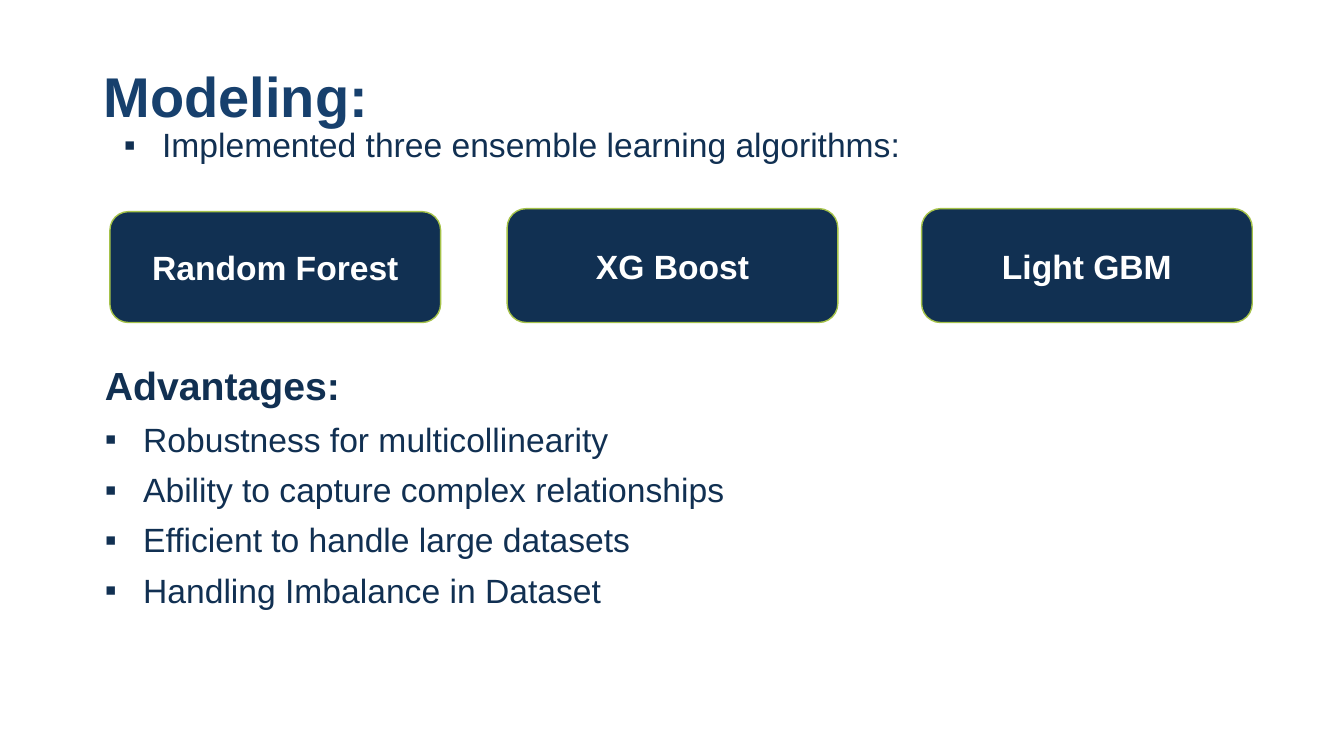
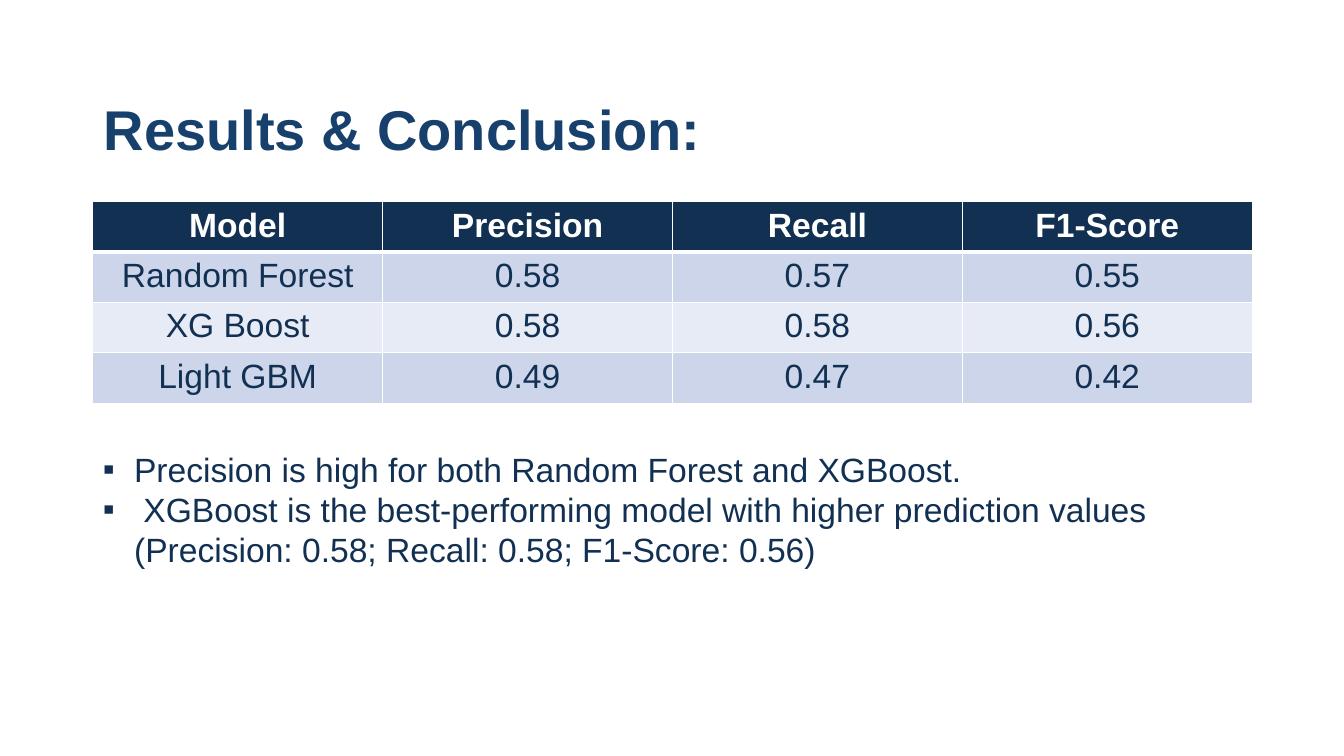
from dataclasses import dataclass

import lxml.etree
import pptx
import pptx.dml.color
import pptx.enum.shapes
import pptx.enum.text
import pptx.oxml.ns
import pptx.presentation
import pptx.shapes.base
import pptx.slide
import pptx.table
import pptx.text.text
import pptx.util

RGBColor = pptx.dml.color.RGBColor
NAVY = RGBColor(0x11, 0x30, 0x52)
TITLE_BLUE = RGBColor(0x17, 0x40, 0x6D)
GREEN = RGBColor(0xA5, 0xC2, 0x49)
WHITE = RGBColor(0xFF, 0xFF, 0xFF)
BAND_DARK = RGBColor(0xCC, 0xD5, 0xEA)
BAND_LIGHT = RGBColor(0xE7, 0xEB, 0xF5)

FONT = "Arial"
TEXT_SIZE = 24
PX_PER_INCH = 100
TITLE_AND_CONTENT = 1


@dataclass(frozen=True)
class Box:
    left: int
    top: int
    width: int
    height: int


@dataclass(frozen=True)
class Card:
    text: str
    box: Box


@dataclass(frozen=True)
class Item:
    text: str
    size: int = TEXT_SIZE
    bold: bool = False
    bullet: bool = True


@dataclass(frozen=True)
class ListStyle:
    indent: int
    line_spacing: float
    space_before: int


AIRY = ListStyle(indent=38, line_spacing=0.9, space_before=10)
TIGHT = ListStyle(indent=31, line_spacing=1.0, space_before=0)

CARDS = [
    Card("Random Forest", Box(109, 210, 328, 110)),
    Card("XG Boost", Box(503, 207, 328, 113)),
    Card("Light GBM", Box(914, 207, 328, 113)),
]
INTRO = [Item("Implemented three ensemble learning algorithms:")]
ADVANTAGES = [
    Item("Advantages:", size=28, bold=True, bullet=False),
    Item("Robustness for multicollinearity"),
    Item("Ability to capture complex relationships"),
    Item("Efficient to handle large datasets"),
    Item("Handling Imbalance in Dataset"),
]
SCORES = [
    ["Model", "Precision", "Recall", "F1-Score"],
    ["Random Forest", "0.58", "0.57", "0.55"],
    ["XG Boost", "0.58", "0.58", "0.56"],
    ["Light GBM", "0.49", "0.47", "0.42"],
]
CONCLUSIONS = [
    Item("Precision is high for both Random Forest and XGBoost."),
    Item(" XGBoost is the best-performing model with higher prediction values "
         "(Precision: 0.58; Recall: 0.58; F1-Score: 0.56)"),
]


def px(length: int) -> pptx.util.Emu:
    return pptx.util.Emu(length * 914400 // PX_PER_INCH)


def emu(box: Box) -> tuple[pptx.util.Emu, ...]:
    return px(box.left), px(box.top), px(box.width), px(box.height)


def place(sp: pptx.shapes.base.BaseShape, box: Box) -> None:
    sp.left, sp.top, sp.width, sp.height = emu(box)


def format_runs(p: pptx.text.text._Paragraph, color: RGBColor,
                size: int = TEXT_SIZE, bold: bool = False) -> None:
    for r in p.runs:
        r.font.name = FONT
        r.font.size = pptx.util.Pt(size)
        r.font.bold = bold
        r.font.color.rgb = color


def set_bullet(p: pptx.text.text._Paragraph, indent: int) -> None:
    """Give the paragraph a hanging square bullet, or none if indent is 0."""
    pPr = p._p.get_or_add_pPr()
    pPr.set("marL", str(px(indent)))
    pPr.set("indent", str(-px(indent)))
    qn = pptx.oxml.ns.qn
    if indent:
        lxml.etree.SubElement(pPr, qn("a:buFont"), typeface=FONT)
        lxml.etree.SubElement(pPr, qn("a:buChar"), char="▪")
    else:
        lxml.etree.SubElement(pPr, qn("a:buNone"))


def fill_list(tf: pptx.text.text.TextFrame, items: list[Item],
              style: ListStyle) -> None:
    tf.word_wrap = True
    tf.auto_size = pptx.enum.text.MSO_AUTO_SIZE.NONE
    tf.vertical_anchor = pptx.enum.text.MSO_ANCHOR.TOP
    tf.text = "\n".join(item.text for item in items)
    for p, item in zip(tf.paragraphs, items):
        p.alignment = pptx.enum.text.PP_ALIGN.LEFT
        p.line_spacing = style.line_spacing
        p.space_before = pptx.util.Pt(style.space_before)
        set_bullet(p, style.indent if item.bullet else 0)
        format_runs(p, NAVY, item.size, item.bold)


def add_titled_slide(prs: pptx.presentation.Presentation, title: str,
                     title_top: int) -> pptx.slide.Slide:
    s = prs.slides.add_slide(prs.slide_layouts[TITLE_AND_CONTENT])
    place(s.shapes.title, Box(93, title_top, 1146, 107))
    tf = s.shapes.title.text_frame
    tf.text = title
    tf.auto_size = pptx.enum.text.MSO_AUTO_SIZE.NONE
    tf.vertical_anchor = pptx.enum.text.MSO_ANCHOR.MIDDLE
    p = tf.paragraphs[0]
    p.alignment = pptx.enum.text.PP_ALIGN.LEFT
    p.line_spacing = 0.9
    format_runs(p, TITLE_BLUE, 40, True)
    return s


def fill_body(s: pptx.slide.Slide, box: Box, items: list[Item],
              style: ListStyle) -> None:
    body = s.placeholders[1]
    place(body, box)
    fill_list(body.text_frame, items, style)


def add_card(s: pptx.slide.Slide, card: Card) -> None:
    sp = s.shapes.add_shape(
        pptx.enum.shapes.MSO_SHAPE.ROUNDED_RECTANGLE, *emu(card.box))
    sp.shadow.inherit = False
    sp.fill.solid()
    sp.fill.fore_color.rgb = NAVY
    sp.line.color.rgb = GREEN
    sp.line.width = pptx.util.Pt(1)
    tf = sp.text_frame
    tf.text = card.text
    tf.vertical_anchor = pptx.enum.text.MSO_ANCHOR.MIDDLE
    p = tf.paragraphs[0]
    p.alignment = pptx.enum.text.PP_ALIGN.CENTER
    format_runs(p, WHITE, bold=True)


def set_borders(cell: pptx.table._Cell, top: int, bottom: int) -> None:
    """Draw white borders, 1 pt at the sides and as given above and below."""
    qn = pptx.oxml.ns.qn
    tcPr = cell._tc.get_or_add_tcPr()
    for side, width in {"L": 1, "R": 1, "T": top, "B": bottom}.items():
        ln = lxml.etree.SubElement(
            tcPr, qn(f"a:ln{side}"), w=str(pptx.util.Pt(width)))
        fill = lxml.etree.SubElement(ln, qn("a:solidFill"))
        lxml.etree.SubElement(fill, qn("a:srgbClr"), val=str(WHITE))


def add_score_table(s: pptx.slide.Slide, box: Box) -> None:
    table = s.shapes.add_table(len(SCORES), len(SCORES[0]), *emu(box)).table
    for row, values in enumerate(SCORES):
        header = row == 0
        band = BAND_DARK if row % 2 else BAND_LIGHT
        for col, value in enumerate(values):
            cell = table.cell(row, col)
            set_borders(cell, top=3 if row == 1 else 1,
                        bottom=3 if header else 1)
            cell.fill.solid()
            cell.fill.fore_color.rgb = NAVY if header else band
            cell.text_frame.text = value
            p = cell.text_frame.paragraphs[0]
            p.alignment = pptx.enum.text.PP_ALIGN.CENTER
            format_runs(p, WHITE if header else NAVY, bold=header)


def build_modeling(prs: pptx.presentation.Presentation) -> None:
    s = add_titled_slide(prs, "Modeling:", 45)
    for card in CARDS:
        add_card(s, card)
    fill_body(s, Box(94, 359, 1150, 262), ADVANTAGES, AIRY)
    intro = s.shapes.add_textbox(*emu(Box(113, 123, 1150, 60)))
    fill_list(intro.text_frame, INTRO, AIRY)


def build_results(prs: pptx.presentation.Presentation) -> None:
    s = add_titled_slide(prs, "Results & Conclusion:", 78)
    add_score_table(s, Box(92, 200, 1150, 200))
    fill_body(s, Box(92, 440, 1150, 172), CONCLUSIONS, TIGHT)


def main() -> None:
    prs = pptx.Presentation()
    prs.slide_width, prs.slide_height = px(1333), px(750)
    build_modeling(prs)
    build_results(prs)
    prs.save("out.pptx")


if __name__ == "__main__":
    main()
